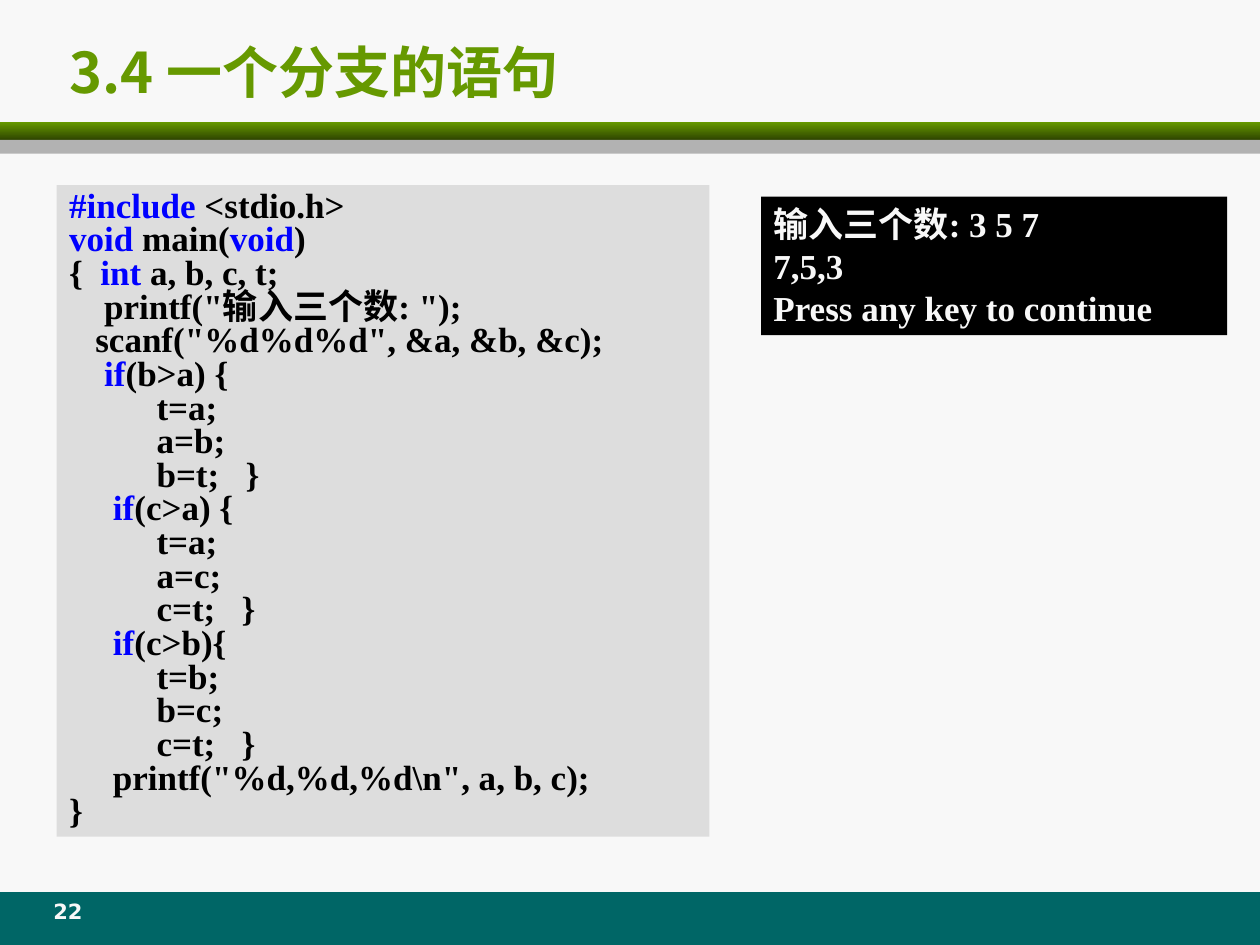
from lxml import etree
from pptx import Presentation
from pptx.dml.color import RGBColor
from pptx.enum import shapes, text
from pptx.oxml.ns import qn
from pptx.util import Inches, Pt

HUES = {"page": "F8F8F8", "green": "669900", "dark": "2F4600", "gray": "B2B2B2",
        "teal": "006666", "panel": "DDDDDD", "black": "000000", "blue": "0000FF"}
RGB = {name: RGBColor.from_string(code) for name, code in HUES.items()}
SANS, SERIF, DIGIT = "Noto Sans CJK JP", "Times New Roman", "DejaVu Sans"

deck = Presentation()
deck.slide_width, deck.slide_height = Inches(10), Inches(7.5)
slide = deck.slides.add_slide(deck.slide_layouts[6])
slide.background.fill.solid()
slide.background.fill.fore_color.rgb = RGB["page"]


def block(x, y, w, h, fill=None):
    """Add a box placed in percent of the slide; without a fill it is a text box."""
    area = [int(deck.slide_width * x / 100), int(deck.slide_height * y / 100),
            int(deck.slide_width * w / 100), int(deck.slide_height * h / 100)]
    if fill is None:
        return slide.shapes.add_textbox(*area)
    shape = slide.shapes.add_shape(shapes.MSO_SHAPE.RECTANGLE, *area)
    shape.shadow.inherit = False
    shape.line.fill.background()
    shape.fill.solid()
    shape.fill.fore_color.rgb = RGB[fill]
    return shape


def write(shape, lines, size, face, hue, align="LEFT", anchor="TOP", space=None):
    """Fill a box with lines; the parts between bars are keywords in blue."""
    frame = shape.text_frame
    frame.word_wrap = True
    frame.vertical_anchor = getattr(text.MSO_ANCHOR, anchor)
    for i, line in enumerate(lines):
        para = frame.add_paragraph() if i else frame.paragraphs[0]
        para.alignment = getattr(text.PP_ALIGN, align)
        if space:
            para.line_spacing = space
        for j, part in enumerate(line.split("|")):
            if not part:
                continue
            run = para.add_run()
            run.text = part
            run.font.size, run.font.bold, run.font.name = Pt(size), True, face
            run.font.color.rgb = RGB["blue" if j % 2 else hue]
            asian = etree.Element(qn("a:ea"), typeface=SANS)
            run.font._element.find(qn("a:latin")).addnext(asian)


# Footer and the two bars under the title
block(0, 94.4, 100, 5.6, "teal")
bar = block(0, 12.93, 100, 1.87, "green")
bar.fill.gradient()
bar.fill.gradient_angle = 270
for stop, hue in zip(bar.fill.gradient_stops, ("green", "dark")):
    stop.color.rgb = RGB[hue]
block(0, 14.8, 100, 1.47, "gray")

# Title
write(block(4.5, 3.07, 93.5, 8.93), ["3.4 一个分支的语句"], 32, SANS, "green",
      anchor="MIDDLE")

# Program
CODE = r'''|#include| <stdio.h>
|void| main(|void|)
{  |int| a, b, c, t;
    printf("输入三个数: ");
   scanf("%d%d%d", &a, &b, &c);
   | if|(b>a) {
          t=a;
          a=b;
          b=t;   }
     |if|(c>a) {
          t=a;
          a=c;
          c=t;   }
     |if|(c>b){
          t=b;
          b=c;
          c=t;   }
     printf("%d,%d,%d\n", a, b, c);
}'''
code = block(4.5, 19.6, 51.8, 68.93, "panel")
write(code, CODE.split("\n"), 20, SERIF, "black", space=0.8)

# Console output
shell = block(60.4, 20.8, 37, 14.67, "black")
write(shell, ["输入三个数: 3 5 7", "7,5,3", "Press any key to continue"],
      20, SERIF, "page")
for panel in (code, shell):
    panel.text_frame.auto_size = text.MSO_AUTO_SIZE.SHAPE_TO_FIT_TEXT

# Page number
write(block(2.5, 94.4, 5.8, 4.4), ["22"], 12, DIGIT, "page", align="CENTER")

deck.save("out.pptx")
